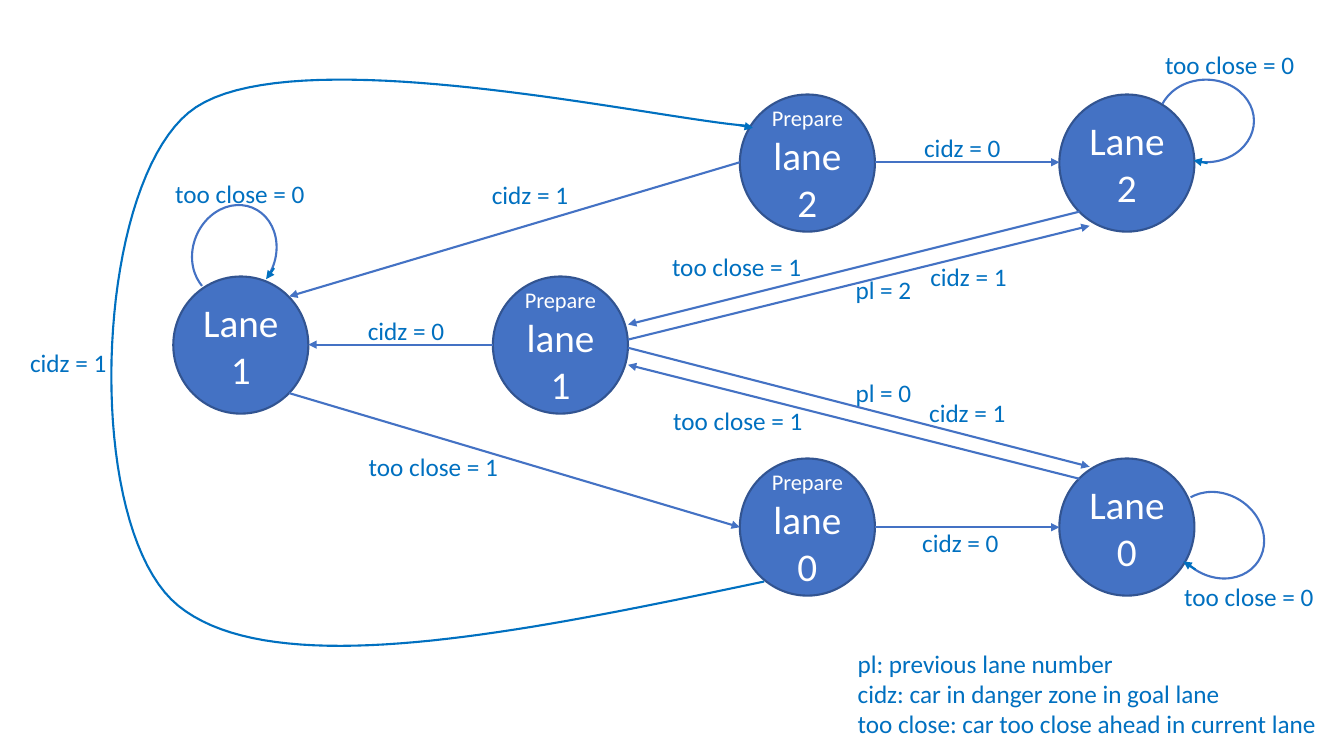
from pptx import Presentation
from pptx import util as u
from pptx.dml.color import RGBColor
from pptx.enum import shapes, text
from pptx.oxml.ns import qn
from lxml import etree

BLUE = RGBColor(0x44, 0x72, 0xC4)
EDGE = RGBColor(0x32, 0x54, 0x91)
INK = RGBColor(0x00, 0x70, 0xC0)
WHITE = RGBColor(0xFF, 0xFF, 0xFF)
FONT = "Calibri"
Pt = u.Pt

WIDE, HIGH = 96.5, 98
ROWS = [67.5 + 130 * i for i in range(3)]
STATES = [
    (528.5, ROWS[2], "Prepare", "lane 0"),
    (756.7, ROWS[2], "", "Lane 0"),
    (528.5, ROWS[0], "Prepare", "lane 2"),
    (756.7, ROWS[0], "", "Lane 2"),
    (123.8, ROWS[1], "", "Lane 1"),
    (352.1, ROWS[1], "Prepare", "lane 1"),
]
MOVES = [
    (206.6, 280.8, 528.5, 376.6),
    (625, 376.6, 756.7, 376.6),
    (625, 115.9, 756.7, 115.9),
    (771.1, 151.2, 448.6, 231.8),
    (771.1, 342, 448.6, 260.6),
    (448.6, 248.4, 778.3, 333.4),
    (448.6, 242.6, 778.3, 161.3),
    (352.1, 246.2, 220.3, 246.2),
    (528.5, 115.9, 206.6, 211.7),
]
LOOPS = [
    (827.3, 56.9, 0, (862.6, 116.6, 852.5, 114.5)),
    (835.9, 352.8, 32.6, (853.9, 406.8, 845.3, 401)),
    (133.2, 150.5, 292.2, (195.8, 191.5, 190.1, 199.4)),
]
SWEEP = [
    (545.8, 415.4), (370.8, 452.2), (195.8, 488.2), (127.4, 432.7),
    (59, 377.3), (66.2, 137.5), (134.6, 80.6),
    (202.3, 23.8), (473.8, 86.4), (535.7, 90),
]
SWEEP_TIP = (527.8, 89.3, 537.8, 91.4)
LABELS = {
    "cidz = 0": (70, [(653, 90.7), (255.6, 221.8), (651.6, 373)]),
    "too close = 0": (108, [(118.1, 123.8), (825.1, 31.7), (838.8, 411.8)]),
    "cidz = 1": (70, [(14.4, 244.8), (344.2, 124.6), (657.4, 182.9), (656.6, 280.1)]),
    "too close = 1": (108, [(473, 175.7), (473.8, 285.8), (256.3, 319)]),
    "pl = 0": (54.7, [(604.1, 265.7)]),
    "pl = 2": (54.7, [(604.1, 192.2)]),
}
LEGEND = (
    "pl: previous lane number\n"
    "cidz: car in danger zone in goal lane\n"
    "too close: car too close ahead in current lane"
)


def style(run, size, color):
    run.font.name = FONT
    run.font.size = Pt(size)
    run.font.color.rgb = color


def stroke(item, color):
    item.line.color.rgb = color
    item.line.width = Pt(1.5)


def add_state(slide, x, y, lead, name):
    disc = slide.shapes.add_shape(
        shapes.MSO_SHAPE.OVAL, Pt(x), Pt(y), Pt(WIDE), Pt(HIGH))
    disc.shadow.inherit = False
    disc.fill.solid()
    disc.fill.fore_color.rgb = BLUE
    stroke(disc, EDGE)
    frame = disc.text_frame
    frame.word_wrap = True
    frame.vertical_anchor = text.MSO_ANCHOR.MIDDLE
    para = frame.paragraphs[0]
    para.alignment = text.PP_ALIGN.CENTER
    parts = [(lead, 16), (" ", 18)] if lead else []
    for words, size in parts + [(name, 28)]:
        run = para.add_run()
        run.text = words
        style(run, size, WHITE)


def add_arrow(slide, ends, color):
    arrow = slide.shapes.add_connector(
        shapes.MSO_CONNECTOR.STRAIGHT, *[Pt(end) for end in ends])
    stroke(arrow, color)
    etree.SubElement(arrow.line._get_or_add_ln(), qn("a:tailEnd"), type="triangle")
    etree.SubElement(arrow._element.spPr, qn("a:effectLst"))


def add_loop(slide, x, y, turn, tip):
    arc = slide.shapes.add_shape(
        shapes.MSO_SHAPE.ARC, Pt(x), Pt(y), Pt(68.4), Pt(59))
    arc.shadow.inherit = False
    arc.adjustments[0] = 120.86
    arc.adjustments[1] = 62.42
    arc.rotation = turn
    arc.fill.background()
    stroke(arc, BLUE)
    add_arrow(slide, tip, INK)


def bend(knots, steps=40):
    for i in range(0, len(knots) - 1, 3):
        for step in range(1, steps + 1):
            t = step / steps
            s = 1 - t
            parts = (s ** 3, 3 * s * s * t, 3 * s * t * t, t ** 3)
            yield tuple(
                Pt(sum(part * knot[axis] for part, knot in zip(parts, knots[i:i + 4])))
                for axis in (0, 1))


def add_sweep(slide):
    x, y = SWEEP[0]
    pen = slide.shapes.build_freeform(Pt(x), Pt(y))
    pen.add_line_segments(list(bend(SWEEP)), close=False)
    curve = pen.convert_to_shape()
    curve.shadow.inherit = False
    curve.fill.background()
    stroke(curve, INK)
    add_arrow(slide, SWEEP_TIP, INK)


def add_label(slide, words, x, y, wide, high=29):
    box = slide.shapes.add_textbox(Pt(x), Pt(y), Pt(wide), Pt(high))
    frame = box.text_frame
    frame.word_wrap = False
    frame.auto_size = text.MSO_AUTO_SIZE.SHAPE_TO_FIT_TEXT
    frame.text = words
    for para in frame.paragraphs:
        for run in para.runs:
            style(run, 18, INK)


def main():
    deck = Presentation()
    deck.slide_width, deck.slide_height = Pt(960), Pt(540)
    slide = deck.slides.add_slide(deck.slide_layouts[6])
    for state in STATES:
        add_state(slide, *state)
    for ends in MOVES:
        add_arrow(slide, ends, BLUE)
    add_sweep(slide)
    for loop in LOOPS:
        add_loop(slide, *loop)
    for words, (wide, spots) in LABELS.items():
        for x, y in spots:
            add_label(slide, words, x, y, wide)
    add_label(slide, LEGEND, 605.5, 459.4, 346.3, 72.7)
    deck.save("out.pptx")


if __name__ == "__main__":
    main()
